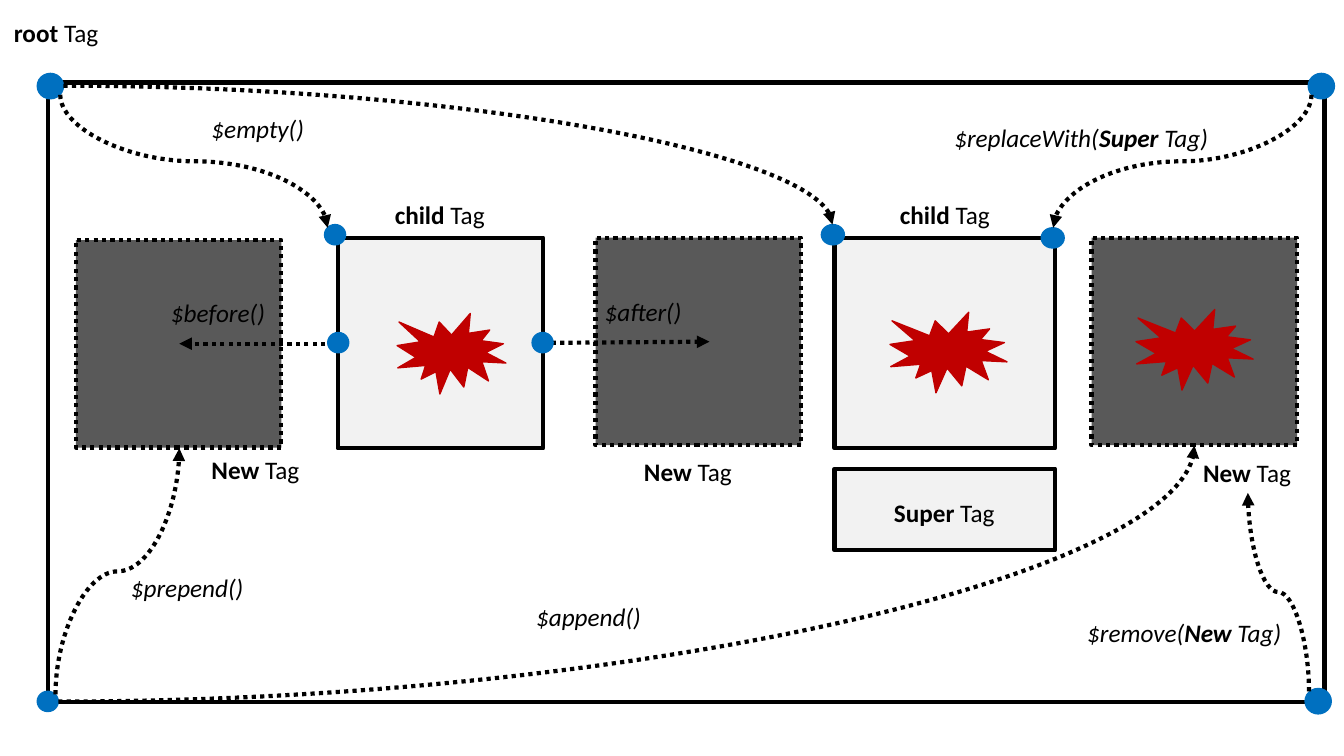
from lxml import etree
from pptx import Presentation
from pptx.dml.color import RGBColor
from pptx.enum.dml import MSO_LINE
from pptx.enum.shapes import MSO_CONNECTOR, MSO_SHAPE
from pptx.oxml.ns import qn
from pptx.util import Cm, Pt

RECT, OVAL, BURST = MSO_SHAPE.RECTANGLE, MSO_SHAPE.OVAL, MSO_SHAPE.EXPLOSION1
STRAIGHT, CURVE = MSO_CONNECTOR.STRAIGHT, MSO_CONNECTOR.CURVE
DOTTED = MSO_LINE.ROUND_DOT
QUARTER_TURN = "5400000"

COLORS = {"ink": "000000", "tag": "F2F2F2", "new": "595959",
          "dot": "0070C0", "burst": "C00000"}

# Boxes and marks: left, top, width, height in cm
ROOT = (1.22, 2.08, 32.16, 15.62)
TAGS = [(8.51, 5.99, 5.18, 5.31), (21.03, 5.99, 5.56, 5.31),
        (21.03, 11.81, 5.56, 2.06)]
NEW_TAGS = [(1.91, 6.05, 5.18, 5.23), (15.01, 5.99, 5.18, 5.23),
            (27.51, 5.99, 5.18, 5.23)]
BURSTS = [(10.01, 7.9, 2.74, 2.03), (22.43, 7.87, 2.95, 2.03),
          (28.63, 7.8, 2.95, 2.03)]
DOTS = [(0.94, 1.85, 0.66, 0.64), (32.97, 1.85, 0.66, 0.64),
        (32.89, 17.35, 0.66, 0.64), (0.94, 17.42, 0.53, 0.51),
        (8.18, 5.66, 0.53, 0.51), (8.26, 8.38, 0.53, 0.51),
        (13.41, 8.38, 0.53, 0.51), (20.7, 5.66, 0.58, 0.51),
        (26.24, 5.74, 0.58, 0.51)]

# Arrows: start x, start y, end x, end y in cm
SIDE_ARROWS = [(13.69, 8.64, 17.88, 8.61), (8.41, 8.66, 4.52, 8.66)]
BOWS = [(1.6, 2.16, 20.98, 5.66), (1.47, 17.68, 30.1, 11.23)]
S_CURVES = [(1.52, 2.39, 8.26, 5.74), (1.4, 17.5, 4.52, 11.3),
            (33.05, 2.39, 26.54, 5.74), (32.99, 17.42, 31.45, 12.42)]

# Labels: left, top, width in cm, text with *bold* parts
TAG_LABELS = [(0.1, 0.3, 3.63, "*root* Tag"), (9.7, 4.9, 3.63, "*child* Tag"),
              (22.43, 4.9, 3.63, "*child* Tag"),
              (5.08, 11.33, 3.2, "*New* Tag"),
              (15.98, 11.38, 3.2, "*New* Tag"),
              (30.07, 11.4, 3.2, "*New* Tag"),
              (22.28, 12.4, 3.5, "*Super* Tag")]
METHOD_LABELS = [(5.08, 2.72, 4.34, "$empty()"),
                 (3.05, 14.3, 4.34, "$prepend()"),
                 (13.26, 15.04, 4.34, "$append()"),
                 (4.06, 7.37, 4.34, "$before()"),
                 (14.99, 7.34, 4.34, "$after()"),
                 (27.15, 15.44, 5.54, "$remove(*New* Tag)"),
                 (23.8, 2.95, 7.98, "$replaceWith(*Super* Tag)")]


def rgb(name):
    """Return the named colour."""
    return RGBColor.from_string(COLORS[name])


def style_line(line, color, width, dash=None):
    """Set colour, width and optional dash of a line."""
    line.color.rgb = rgb(color)
    line.width = Pt(width)
    if dash:
        line.dash_style = dash


def add_shape(kind, box, fill, line="ink", width=3, dash=None):
    """Add a preset shape; no fill when fill is None."""
    sp = shapes.add_shape(kind, *map(Cm, box))
    sp.shadow.inherit = False
    if fill:
        sp.fill.solid()
        sp.fill.fore_color.rgb = rgb(fill)
    else:
        sp.fill.background()
    style_line(sp.line, line, width, dash)


def add_arrow(kind, ends):
    """Add a dotted arrow and return its shape properties."""
    c = shapes.add_connector(kind, *map(Cm, ends))
    style_line(c.line, "ink", 3, DOTTED)
    pr = c._element.spPr
    etree.SubElement(pr.find(qn("a:ln")), qn("a:tailEnd"), type="triangle")
    etree.SubElement(pr, qn("a:effectLst"))
    return pr


def add_bow(ends):
    """Add an arrow that leaves sideways and arrives vertically."""
    pr = add_arrow(CURVE, ends)
    pr.find(qn("a:prstGeom")).set("prst", "curvedConnector2")


def add_s_curve(ends):
    """Add an S arrow that leaves and arrives vertically, by a quarter turn."""
    x1, y1, x2, y2 = ends
    cx, cy = (x1 + x2) / 2, (y1 + y2) / 2
    dx, dy = (x2 - x1) / 2, (y2 - y1) / 2
    pr = add_arrow(CURVE, (cx - dy, cy + dx, cx + dy, cy - dx))
    pr.find(qn("a:xfrm")).set("rot", QUARTER_TURN)


def add_label(left, top, width, text, italic):
    """Add a one-line label whose *starred* parts are bold."""
    tf = shapes.add_textbox(Cm(left), Cm(top), Cm(width), Cm(1.02)).text_frame
    tf.word_wrap = True
    p = tf.paragraphs[0]
    p.font.name, p.font.size, p.font.italic = "Calibri", Pt(18), italic
    p.font.color.rgb = rgb("ink")
    for i, part in enumerate(text.split("*")):
        if part:
            r = p.add_run()
            r.text = part
            r.font.bold = i % 2 == 1


prs = Presentation()
prs.slide_width, prs.slide_height = Cm(33.87), Cm(19.05)
shapes = prs.slides.add_slide(prs.slide_layouts[6]).shapes

add_shape(RECT, ROOT, None)
for box in TAGS:
    add_shape(RECT, box, "tag")
for box in NEW_TAGS:
    add_shape(RECT, box, "new", dash=DOTTED)
for box in BURSTS:
    add_shape(BURST, box, "burst", "burst", 1)
for ends in SIDE_ARROWS:
    add_arrow(STRAIGHT, ends)
for box in DOTS:
    add_shape(OVAL, box, "dot", "dot", 1)
for ends in BOWS:
    add_bow(ends)
for ends in S_CURVES:
    add_s_curve(ends)
for labels, italic in ((TAG_LABELS, False), (METHOD_LABELS, True)):
    for label in labels:
        add_label(*label, italic)

prs.save("out.pptx")
